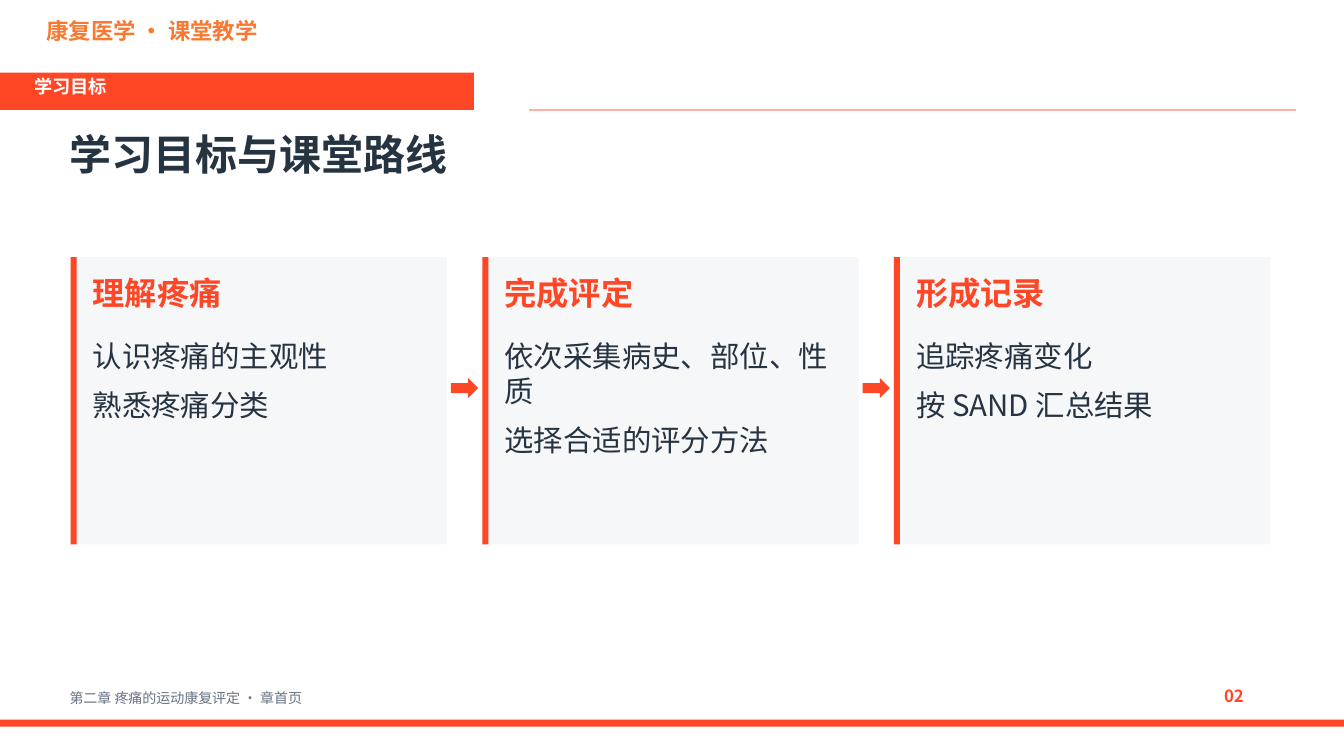
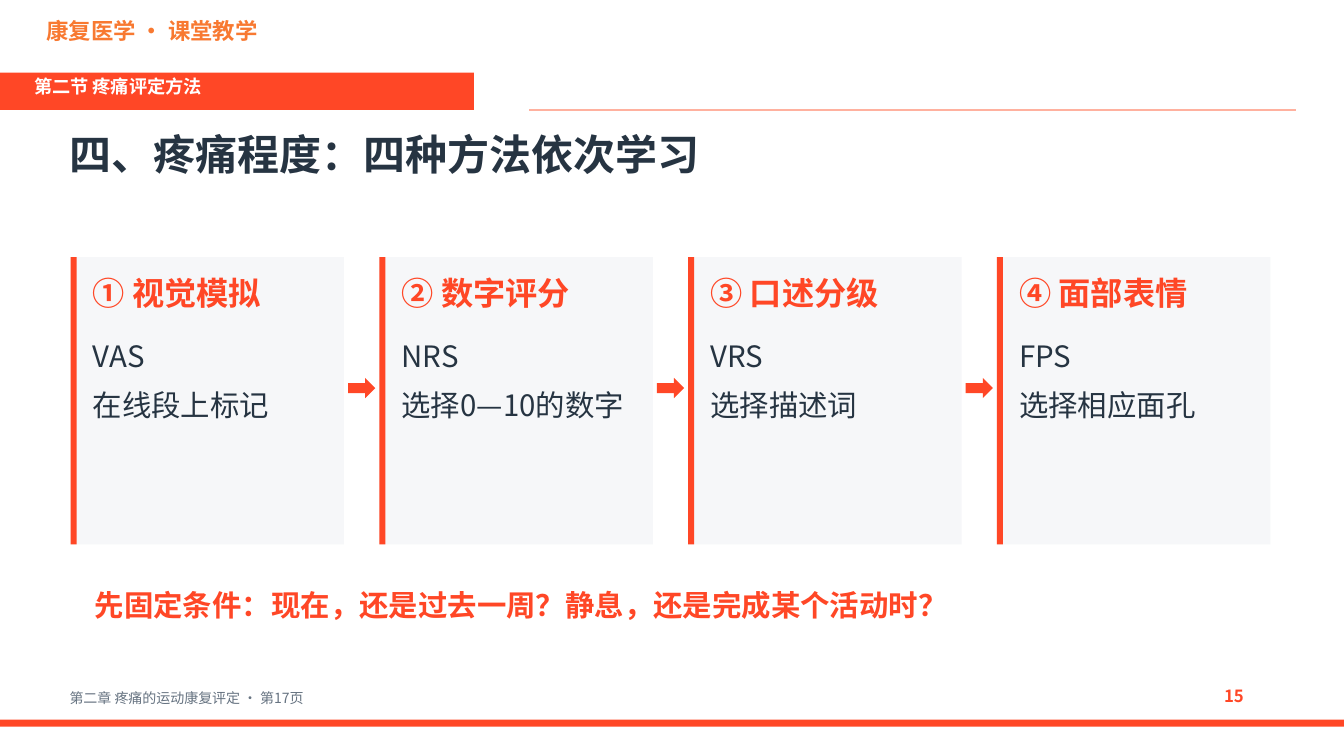
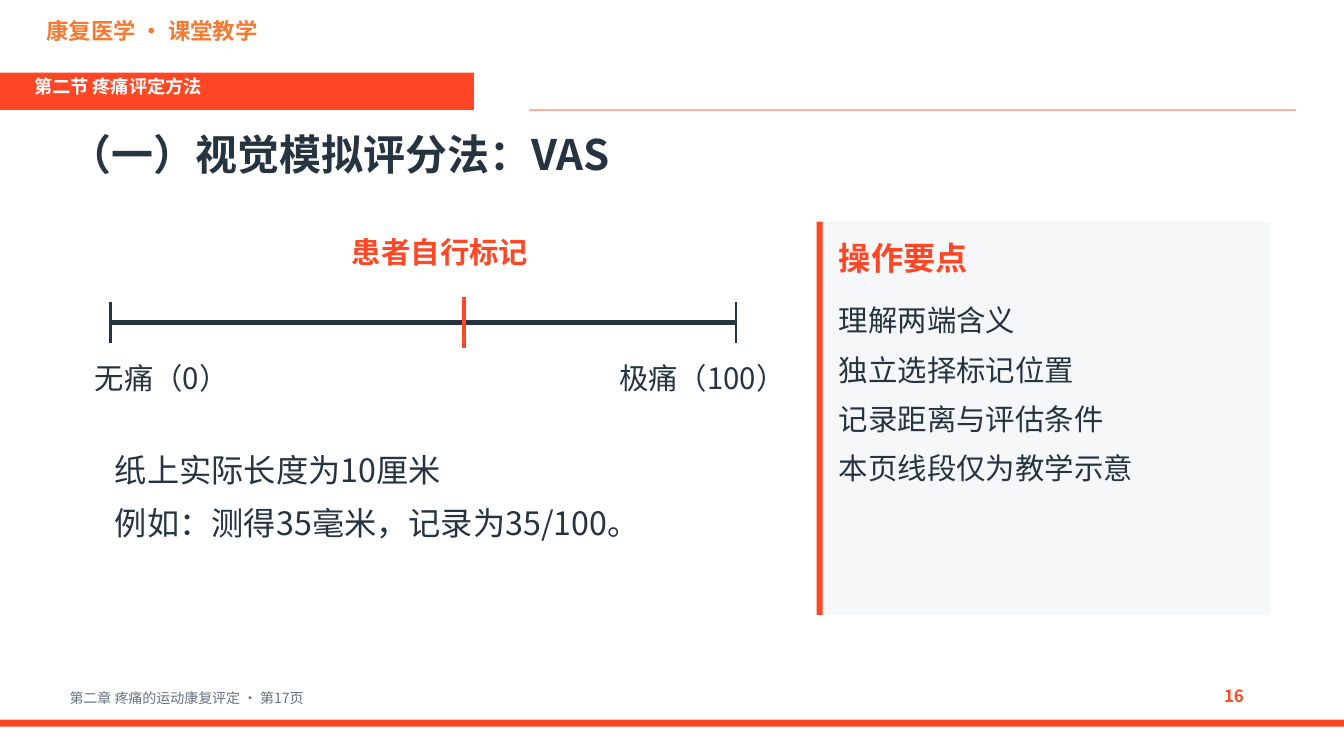
from lxml import etree
from pptx import Presentation
from pptx.dml.color import RGBColor
from pptx.enum.shapes import MSO_CONNECTOR, MSO_SHAPE
from pptx.enum.text import MSO_ANCHOR, MSO_AUTO_SIZE, PP_ALIGN
from pptx.oxml.ns import qn
from pptx.util import Inches, Pt

RECTANGLE, ARROW = MSO_SHAPE.RECTANGLE, MSO_SHAPE.RIGHT_ARROW
STRAIGHT = MSO_CONNECTOR.STRAIGHT
LEFT, TOP = PP_ALIGN.LEFT, MSO_ANCHOR.TOP
GROW = MSO_AUTO_SIZE.SHAPE_TO_FIT_TEXT

WIDTH, HEIGHT = 13.33, 7.5
MARGIN, CONTENT_WIDTH, GAP = 0.7, 11.9, 0.35
CARD_TOP, CARD_HEIGHT = 2.55, 2.85
STRIPE, CARD_INSET = 0.06, 0.18
TITLE_ONLY, TITLE_AND_BODY = 5, 1

FONT = "Noto Sans CJK SC"
ACCENT, INK, PANEL, WHITE = "FF4726", "263442", "F6F7F9", "FFFFFF"
ORANGE, PALE, GREY = "F87931", "FFB19F", "667381"

FRAME_FORMAT = {
    "word_wrap": True,
    "auto_size": GROW,
    "vertical_anchor": TOP,
    "margin_left": Inches(0.04),
    "margin_top": Inches(0.02),
    "margin_right": Inches(0.04),
    "margin_bottom": 0,
}
PARAGRAPH_FORMAT = {"alignment": LEFT, "space_before": Pt(0), "space_after": Pt(10)}

SECTION = "第二节 疼痛评定方法"
SOURCE_PAGE = "第17页"
GOAL_CARDS = [
    ("理解疼痛", ["认识疼痛的主观性", "熟悉疼痛分类"]),
    ("完成评定", ["依次采集病史、部位、性质", "选择合适的评分方法"]),
    ("形成记录", ["追踪疼痛变化", "按 SAND 汇总结果"]),
]
METHOD_CARDS = [
    ("① 视觉模拟", ["VAS", "在线段上标记"]),
    ("② 数字评分", ["NRS", "选择0—10的数字"]),
    ("③ 口述分级", ["VRS", "选择描述词"]),
    ("④ 面部表情", ["FPS", "选择相应面孔"]),
]
KEY_POINTS = ["理解两端含义", "独立选择标记位置", "记录距离与评估条件", "本页线段仅为教学示意"]


def color(value):
    return RGBColor.from_string(value)


def apply(target, values):
    for name, value in values.items():
        setattr(target, name, value)


def write(box, at, lines, size, ink=INK, bold=False):
    """Place a text box or placeholder and fill it with unbulleted lines."""
    box.left, box.top, box.width, box.height = map(Inches, at)
    frame = box.text_frame
    apply(frame, FRAME_FORMAT)
    for index, line in enumerate(lines):
        para = frame.add_paragraph() if index else frame.paragraphs[0]
        apply(para, PARAGRAPH_FORMAT)
        if box.is_placeholder:
            properties = para._p.get_or_add_pPr()
            properties.set("marL", "0")
            properties.set("indent", "0")
            etree.SubElement(properties, qn("a:buNone"))
        span = para.add_run()
        span.text = line
        apply(span.font, {"name": FONT, "size": Pt(size), "bold": bold})
        span.font.color.rgb = color(ink)
        east_asian = etree.SubElement(span.font._element, qn("a:ea"))
        east_asian.set("typeface", FONT)


def add_text(page, at, lines, size, ink=INK, bold=False):
    box = page.shapes.add_textbox(0, 0, 0, 0)
    write(box, at, lines, size, ink, bold)


def add_block(page, at, fill, kind=RECTANGLE):
    block = page.shapes.add_shape(kind, *map(Inches, at))
    block.shadow.inherit = False
    block.fill.solid()
    block.fill.fore_color.rgb = color(fill)
    block.line.fill.background()


def add_line(page, start, end, ink, weight):
    line = page.shapes.add_connector(STRAIGHT, *map(Inches, start + end))
    line.line.color.rgb = color(ink)
    line.line.width = Pt(weight)
    etree.SubElement(line._element.spPr, qn("a:effectLst"))


def add_page(deck, layout, section, title, source, number):
    """Add a slide with the shared bands, header, title and footer."""
    page = deck.slides.add_slide(deck.slide_layouts[layout])
    add_block(page, (0, 7.14, WIDTH, 0.07), ACCENT)
    add_text(page, (0.42, 0.15, 3.5, 0.4), ["康复医学 · 课堂教学"], 16, ORANGE, True)
    add_block(page, (0, 0.72, 4.7, 0.37), ACCENT)
    add_text(page, (0.3, 0.73, 4.2, 0.32), [section], 13, WHITE, True)
    write(page.shapes.title, (0.65, 1.25, 12, 0.65), [title], 30, INK, True)
    add_line(page, (5.25, 1.09), (12.85, 1.09), PALE, 1)
    footer = f"第二章 疼痛的运动康复评定 · {source}"
    add_text(page, (0.65, 6.82, 11, 0.23), [footer], 10, GREY)
    add_text(page, (12.1, 6.78, 0.6, 0.3), [f"{number:02}"], 12, ACCENT, True)
    return page


def add_card(page, at, heading, lines, body=None):
    """Draw a striped panel; its lines go into body when a placeholder is given."""
    left, top, width, height = at
    add_block(page, at, PANEL)
    add_block(page, (left, top, STRIPE, height), ACCENT)
    text_left, text_width = left + CARD_INSET, width - 0.35
    add_text(page, (text_left, top + 0.14, text_width, 0.45), [heading], 23, ACCENT, True)
    if body is None:
        body = page.shapes.add_textbox(0, 0, 0, 0)
    else:
        page.shapes.element.append(body.element)  # bring in front of the panel
    write(body, (text_left, top + 0.78, text_width, height - 0.87), lines, 21)


def add_card_row(page, cards):
    """Spread cards evenly over the content width, with arrows in the gaps."""
    width = (CONTENT_WIDTH - GAP * (len(cards) - 1)) / len(cards)
    for column, (heading, lines) in enumerate(cards):
        left = MARGIN + column * (width + GAP)
        if column:
            add_block(page, (left - GAP + 0.04, CARD_TOP + 1.2, 0.27, 0.2), ACCENT, ARROW)
        add_card(page, (left, CARD_TOP, width, CARD_HEIGHT), heading, lines)


def add_pain_scale(page, left, right, mark, middle):
    add_line(page, (left, middle), (right, middle), INK, 3)
    ticks = [(left, 0.2, INK, 2), (right, 0.2, INK, 2), (mark, 0.25, ACCENT, 3)]
    for x, reach, ink, weight in ticks:
        add_line(page, (x, middle - reach), (x, middle + reach), ink, weight)
    for x, label in ((left - 0.2, "无痛（0）"), (right - 1.2, "极痛（100）")):
        add_text(page, (x, middle + 0.35, 2, 0.5), [label], 21)
    add_text(page, (mark - 1.15, middle - 0.9, 3, 0.5), ["患者自行标记"], 21, ACCENT, True)


def main():
    deck = Presentation()
    deck.slide_width, deck.slide_height = Inches(WIDTH), Inches(HEIGHT)

    goals = add_page(deck, TITLE_ONLY, "学习目标", "学习目标与课堂路线", "章首页", 2)
    add_card_row(goals, GOAL_CARDS)

    methods = add_page(deck, TITLE_ONLY, SECTION, "四、疼痛程度：四种方法依次学习", SOURCE_PAGE, 15)
    add_card_row(methods, METHOD_CARDS)
    question = "先固定条件：现在，还是过去一周？静息，还是完成某个活动时？"
    add_text(methods, (0.9, 5.8, 11.6, 0.6), [question], 21, ACCENT, True)

    scale = add_page(deck, TITLE_AND_BODY, SECTION, "（一）视觉模拟评分法：VAS", SOURCE_PAGE, 16)
    add_pain_scale(scale, left=1.1, right=7.3, mark=4.6, middle=3.2)
    example = ["纸上实际长度为10厘米", "例如：测得35毫米，记录为35/100。"]
    add_text(scale, (1.1, 4.45, 6.5, 1.25), example, 23)
    add_card(scale, (8.1, 2.2, 4.5, 3.9), "操作要点", KEY_POINTS, scale.placeholders[1])

    deck.save("out.pptx")


if __name__ == "__main__":
    main()
